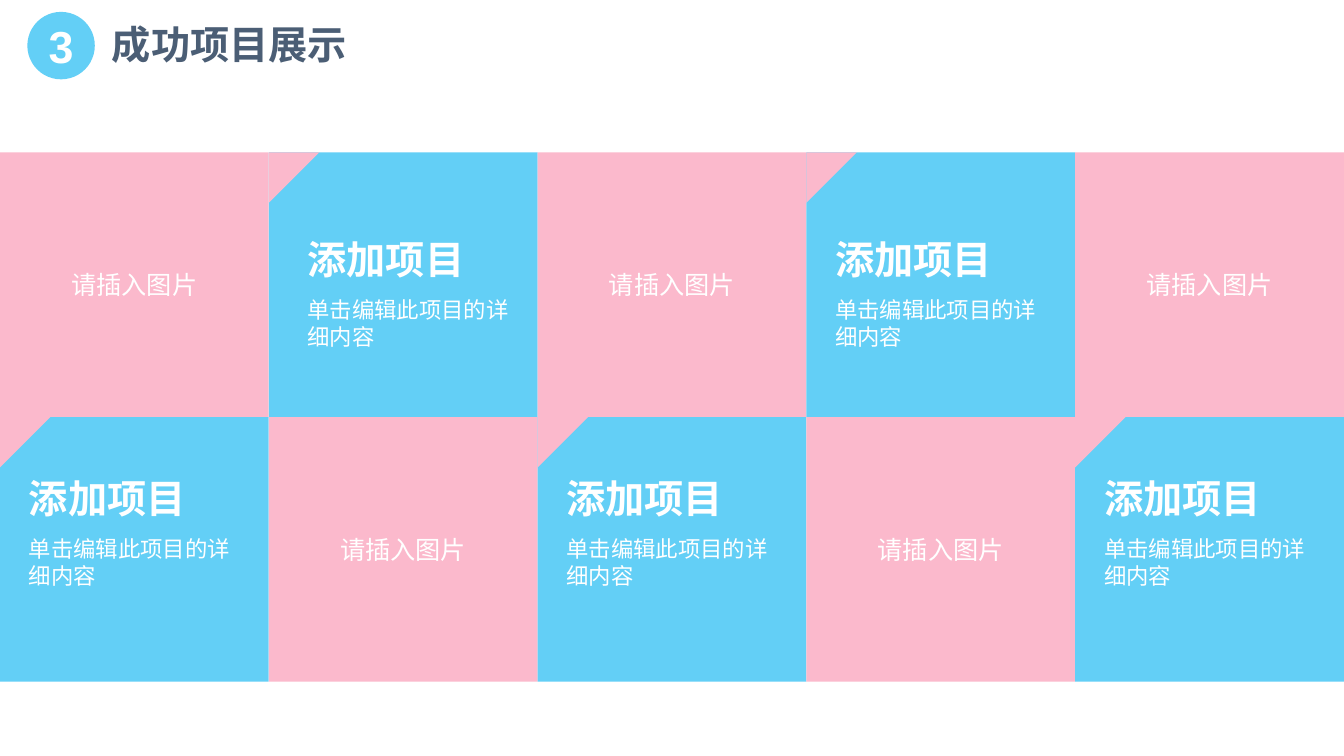
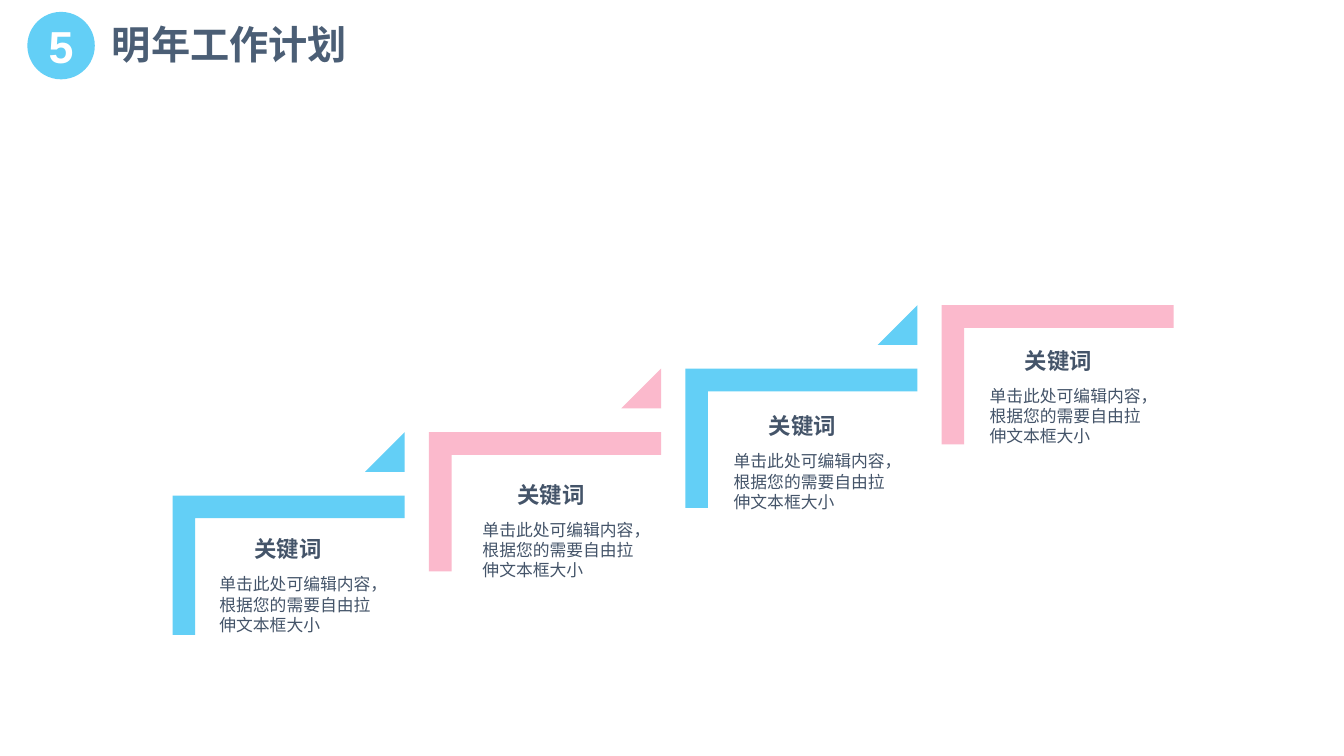
"""Build two slides: a board of finished projects and a stair of plans."""
from pptx import Presentation
from pptx.dml.color import RGBColor
from pptx.enum.shapes import MSO_SHAPE as Kind
from pptx.enum.text import MSO_ANCHOR as Anchor, MSO_AUTO_SIZE as Fit, PP_ALIGN as Align
from pptx.util import Cm, Pt

BLUE, PINK, WHITE = "63CFF6", "FBB9CC", "FFFFFF"
HEAD, INK = "4B5E75", "445469"


def paint(shape, color):
    shape.shadow.inherit = False
    shape.fill.solid()
    shape.fill.fore_color.rgb = RGBColor.from_string(color)
    shape.line.fill.background()


def write(shape, text, size, color, bold=False, align=Align.LEFT,
          anchor=Anchor.TOP, pad=(0.25, 0.13)):
    frame = shape.text_frame
    frame.word_wrap = True
    frame.auto_size = Fit.NONE
    frame.vertical_anchor = anchor
    frame.margin_left = frame.margin_right = Cm(pad[0])
    frame.margin_top = frame.margin_bottom = Cm(pad[1])
    para = frame.paragraphs[0]
    para.alignment = align
    run = para.add_run()
    run.text = text
    font = run.font
    font.name, font.size, font.bold = "Arial", Pt(size), bold
    font.color.rgb = RGBColor.from_string(color)


deck = Presentation()
deck.slide_width, deck.slide_height = Cm(33.87), Cm(19.05)

pages = []
for num, name in (("3", "成功项目展示"), ("5", "明年工作计划")):
    page = deck.slides.add_slide(deck.slide_layouts[5])
    title = page.shapes.title
    title.left, title.top, title.width, title.height = Cm(2.57), Cm(0.38), Cm(9.25), Cm(1.45)
    write(title, name, 28, HEAD, True)
    badge = page.shapes.add_shape(Kind.OVAL, Cm(0.69), Cm(0.3), Cm(1.7), Cm(1.7))
    paint(badge, BLUE)
    write(badge, num, 32, WHITE, True, Align.CENTER, Anchor.MIDDLE, (0, 0))
    pages.append(page.shapes)
board, stair = pages

wide, high = 33.87 / 5, 6.67
for row, drop in enumerate((2.08, 1.42)):
    for col in range(5):
        x, y = col * wide, 3.84 + row * high
        photo = (row + col) % 2 == 0
        tile = board.add_shape(Kind.RECTANGLE, Cm(x), Cm(y), Cm(wide), Cm(high))
        paint(tile, PINK if photo else BLUE)
        if photo:
            write(tile, "请插入图片", 18, WHITE, align=Align.CENTER, anchor=Anchor.MIDDLE)
            continue
        fold = board.add_shape(Kind.RIGHT_TRIANGLE, Cm(x), Cm(y), Cm(1.27), Cm(1.27))
        fold.rotation = 90
        paint(fold, PINK)
        left = x + (0.65 if col == 1 else 0.4)
        for top, tall, text, size, bold, anchor in (
            (0, 1.22, "添加项目", 28, True, Anchor.MIDDLE),
            (1.37, 2.9, "单击编辑此项目的详细内容", 16, False, Anchor.TOP),
        ):
            box = board.add_textbox(Cm(left), Cm(y + drop + top), Cm(5.98), Cm(tall))
            write(box, text, size, WHITE, bold, anchor=anchor, pad=(0.33, 0.18))

span, rise, thick = 5.85, 3.51, 0.57
spots = ((4.01, 13.49), (10.64, 12.12), (16.97, 10.39), (23.42, 8.74))
for step, (left, top) in enumerate(spots):
    x, y = 4.35 + step * 6.46, 12.49 - step * 1.6
    color = PINK if step % 2 else BLUE
    pen = stair.build_freeform(Cm(x), Cm(y))
    pen.add_line_segments([(Cm(x + dx), Cm(y + dy)) for dx, dy in (
        (span, 0), (span, thick), (thick, thick), (thick, rise), (0, rise))])
    paint(pen.convert_to_shape(), color)
    if step < len(spots) - 1:
        tip = stair.add_shape(Kind.ISOSCELES_TRIANGLE, Cm(x + span - 1), Cm(y - 1.6), Cm(1), Cm(1))
        tip.adjustments[0] = 1
        paint(tip, color)
    word = stair.add_textbox(Cm(left), Cm(top), Cm(6.5), Cm(0.69))
    write(word, "关键词", 16, INK, True, Align.CENTER, pad=(0, 0))
    note = stair.add_textbox(Cm(left + 1.52), Cm(top + 0.98), Cm(3.84), Cm(1.55))
    write(note, "单击此处可编辑内容，根据您的需要自由拉伸文本框大小", 12, INK, pad=(0, 0))

deck.save("out.pptx")
